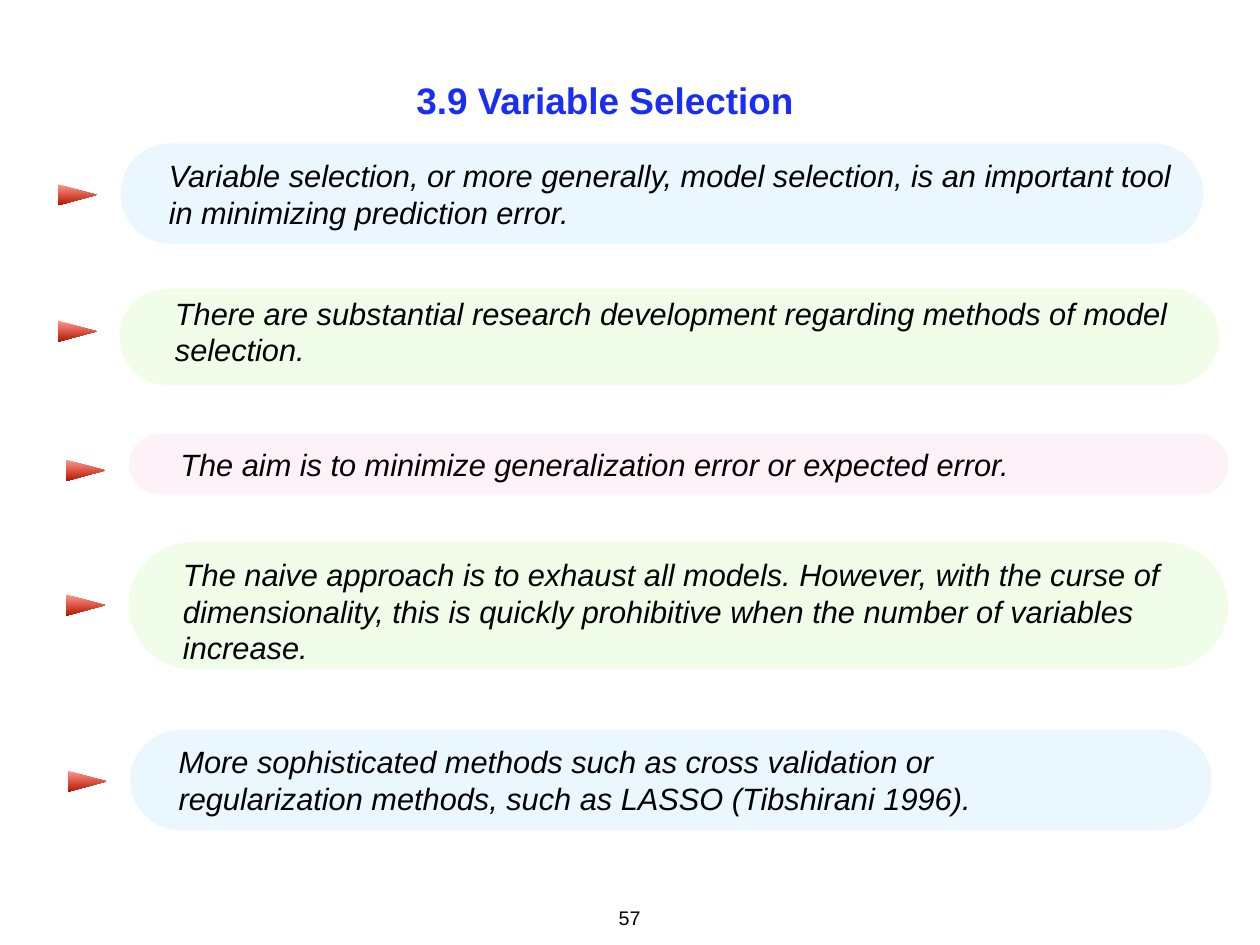
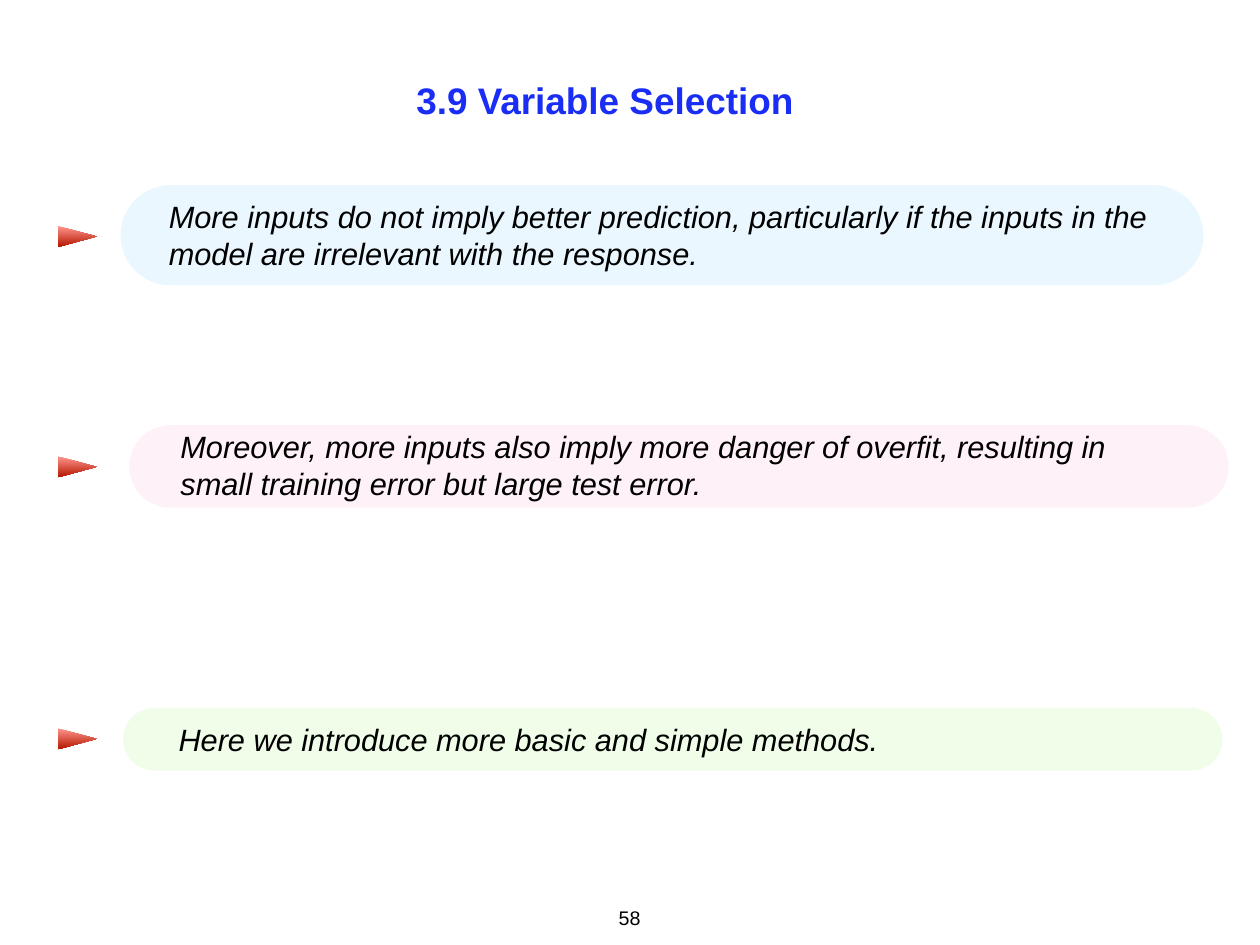
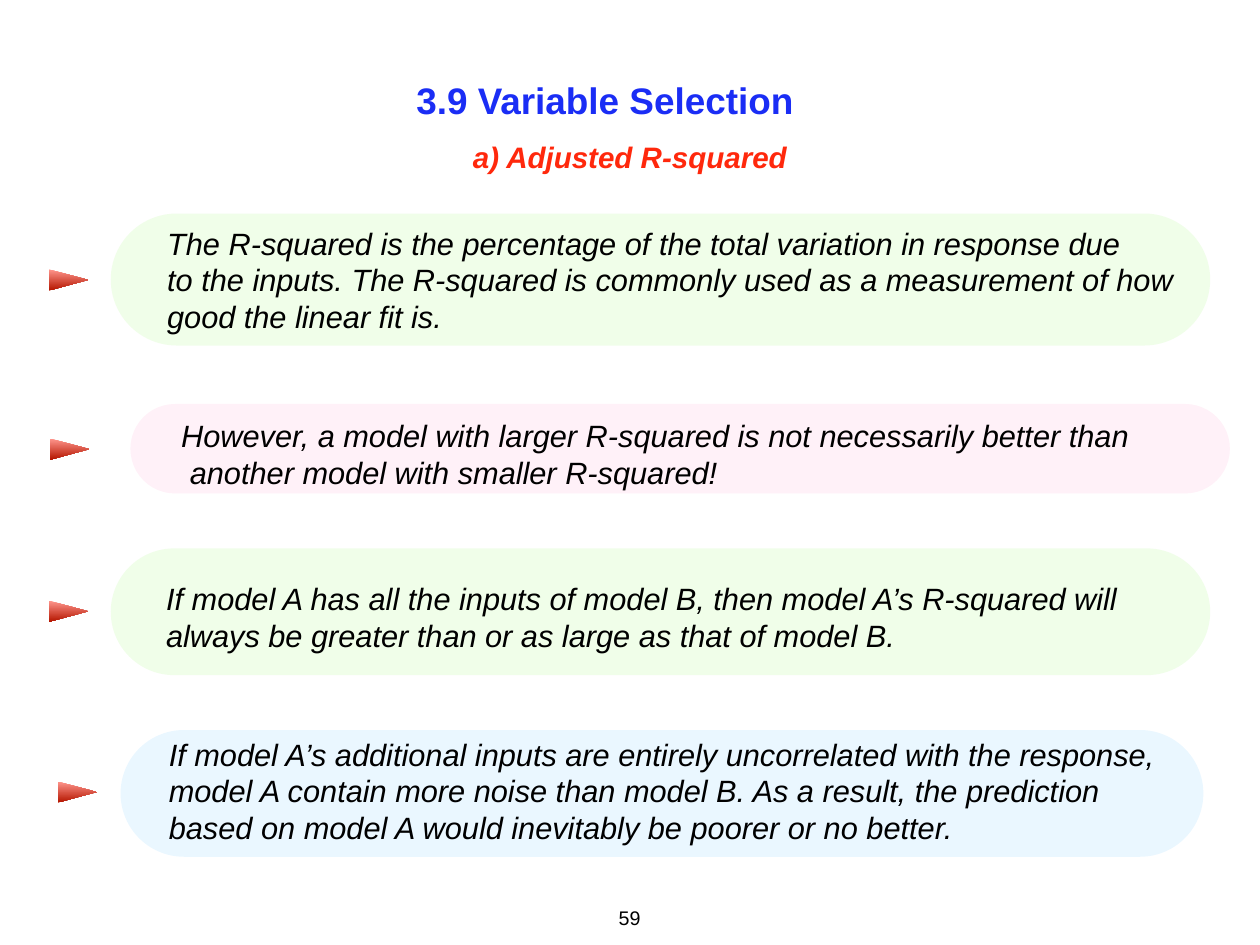
from dataclasses import dataclass
from typing import NamedTuple

from lxml.etree import SubElement
from pptx import Presentation
from pptx.dml.color import RGBColor
from pptx.enum.shapes import MSO_SHAPE
from pptx.enum.text import MSO_ANCHOR, PP_ALIGN
from pptx.oxml.ns import qn
from pptx.util import Pt


@dataclass(frozen=True)
class Theme:
    font: str = "Arial"
    background: str = "FFFFFF"
    title: str = "1A2DF5"
    subtitle: str = "FF280C"
    body: str = "000000"
    blue: str = "56C1FF"
    green: str = "88FA4E"
    pink: str = "FF8DC6"
    arrow_light: str = "FF968D"
    arrow_dark: str = "B51600"
    bubble_opacity: int = 12
    title_size: float = 30
    subtitle_size: float = 24
    body_size: float = 25
    number_size: float = 16
    body_leading: float = 29.75
    inset: float = 4


THEME = Theme()


class Point(NamedTuple):
    tint: str
    bubble: tuple
    text_left: float
    text_middle: float
    text_width: float
    arrow_left: float
    arrow_middle: float
    lines: tuple
    last_indent: float = 0


class Deck:
    def __init__(self, theme):
        self.theme = theme
        self.presentation = Presentation()
        self.presentation.slide_width = Pt(1024)
        self.presentation.slide_height = Pt(768)
        self.slide = None

    def add_slide(self, number, title, subtitle, points):
        theme = self.theme
        self.slide = self.presentation.slides.add_slide(self.presentation.slide_layouts[6])
        background = self.slide.background.fill
        background.solid()
        background.fore_color.rgb = RGBColor.from_string(theme.background)
        self.text((334, 59, 315.4, 44), (title,), theme.title_size, theme.title,
                  bold=True, align=PP_ALIGN.CENTER)
        if subtitle:
            self.text((379.4, 109.5, 265, 36), (subtitle,), theme.subtitle_size,
                      theme.subtitle, bold=True, italic=True, align=PP_ALIGN.CENTER)
        for point in points:
            self.point(point)
        self.text((498.2, 732.2, 26.8, 25.2), (str(number),), theme.number_size,
                  theme.body, align=PP_ALIGN.CENTER, anchor=MSO_ANCHOR.TOP)

    def text(self, box, lines, size, color, bold=False, italic=False,
             align=PP_ALIGN.LEFT, anchor=MSO_ANCHOR.MIDDLE, leading=None, wrap=False):
        shape = self.slide.shapes.add_textbox(*map(Pt, box))
        frame = shape.text_frame
        frame.word_wrap = wrap
        frame.vertical_anchor = anchor
        inset = Pt(self.theme.inset)
        frame.margin_left = frame.margin_right = inset
        frame.margin_top = frame.margin_bottom = inset
        frame.text = "\n".join(lines)
        for paragraph in frame.paragraphs:
            paragraph.alignment = align
            if leading:
                paragraph.line_spacing = Pt(leading)
            for run in paragraph.runs:
                run.font.name = self.theme.font
                run.font.size = Pt(size)
                run.font.bold = bold
                run.font.italic = italic
                run.font.color.rgb = RGBColor.from_string(color)
        return frame

    def bubble(self, box, tint):
        shape = self.slide.shapes.add_shape(MSO_SHAPE.ROUNDED_RECTANGLE, *map(Pt, box))
        shape.adjustments[0] = 0.5
        shape.shadow.inherit = False
        shape.fill.solid()
        shape.fill.fore_color.rgb = RGBColor.from_string(tint)
        color = next(shape._element.iter(qn("a:srgbClr")))
        SubElement(color, qn("a:alpha")).set("val", str(self.theme.bubble_opacity * 1000))
        shape.line.fill.background()

    def arrow(self, left, middle, width=31.7, height=17):
        top, bottom = middle - height / 2, middle + height / 2
        builder = self.slide.shapes.build_freeform(Pt(left), Pt(top))
        builder.add_line_segments(
            [(Pt(left + width), Pt(middle)), (Pt(left), Pt(bottom))], close=True)
        shape = builder.convert_to_shape()
        shape.shadow.inherit = False
        shape.fill.gradient()
        shape.fill.gradient_angle = 270
        colors = (self.theme.arrow_light, self.theme.arrow_dark)
        for stop, color in zip(shape.fill.gradient_stops, colors):
            stop.color.rgb = RGBColor.from_string(color)
        shape.line.fill.background()

    def point(self, point):
        theme = self.theme
        self.bubble(point.bubble, point.tint)
        height = len(point.lines) * theme.body_leading + 2 * theme.inset
        box = (point.text_left, point.text_middle - height / 2, point.text_width, height)
        frame = self.text(box, point.lines, theme.body_size, theme.body, italic=True,
                          leading=theme.body_leading, wrap=True)
        if point.last_indent:
            properties = frame.paragraphs[-1]._p.get_or_add_pPr()
            properties.set("marL", str(Pt(point.last_indent)))
        self.arrow(point.arrow_left, point.arrow_middle)


INTRODUCTION = (
    Point(THEME.blue, (98, 116.6, 880, 81.4), 133.2, 157.3, 833, 47, 158.4, (
        "Variable selection, or more generally, model selection, is an important tool",
        "in minimizing prediction error.")),
    Point(THEME.green, (97.2, 234.7, 893.5, 78.5), 138.2, 269.3, 822, 47, 269.3, (
        "There are substantial research development regarding methods of model",
        "selection.")),
    Point(THEME.pink, (105, 352.8, 893.5, 49), 142.6, 377.3, 686, 54, 382.3, (
        "The aim is to minimize generalization error or expected error.",)),
    Point(THEME.green, (104.4, 440.6, 893.5, 103), 144.7, 496.4, 810, 54, 491.8, (
        "The naive approach is to exhaust all models. However, with the curse of",
        "dimensionality, this is quickly prohibitive when the number of variables",
        "increase.")),
    Point(THEME.blue, (105.8, 593.3, 879, 81.4), 141.1, 634, 790.6, 55, 635, (
        "More sophisticated methods such as cross validation or",
        "regularization methods, such as LASSO (Tibshirani 1996).")),
)

OVERFIT = (
    Point(THEME.blue, (98, 150.5, 880, 81.4), 133.2, 190.8, 826, 47, 192.2, (
        "More inputs do not imply better prediction, particularly if the inputs in the",
        "model are irrelevant with the response.")),
    Point(THEME.pink, (105, 345.6, 893.5, 67), 142.6, 378, 771, 47, 379.4, (
        "Moreover, more inputs also imply more danger of overfit, resulting in",
        "small training error but large test error.")),
    Point(THEME.green, (100, 575.3, 893.5, 51), 141.1, 600.5, 590, 47, 600.5, (
        "Here we introduce more basic and simple methods.",)),
)

ADJUSTED = (
    Point(THEME.green, (90, 173.5, 893.5, 107.3), 131.8, 227.2, 836.6, 40, 227.5, (
        "The R-squared is the percentage of the total variation in response due",
        "to the inputs. The R-squared is commonly used as a measurement of how",
        "good the linear fit is.")),
    Point(THEME.pink, (106, 328.3, 893.5, 72.7), 143.3, 369, 780.5, 41, 365, (
        "However, a model with larger R-squared is not necessarily better than",
        "another model with smaller R-squared!"), last_indent=7),
    Point(THEME.green, (90, 445.7, 893.5, 103), 131, 501.5, 797.8, 40, 496.8, (
        "If model A has all the inputs of model B, then model A’s R-squared will",
        "always be greater than or as large as that of model B.")),
    Point(THEME.blue, (98, 593.3, 880, 103), 133.2, 642.6, 821.5, 47, 643.7, (
        "If model A’s additional inputs are entirely uncorrelated with the response,",
        "model A contain more noise than model B. As a result, the prediction",
        "based on model A would inevitably be poorer or no better.")),
)


def main():
    deck = Deck(THEME)
    title = "3.9 Variable Selection"
    sections = ((None, INTRODUCTION), (None, OVERFIT), ("a) Adjusted R-squared", ADJUSTED))
    for number, (subtitle, points) in enumerate(sections, start=57):
        deck.add_slide(number, title, subtitle, points)
    deck.presentation.save("out.pptx")


if __name__ == "__main__":
    main()
